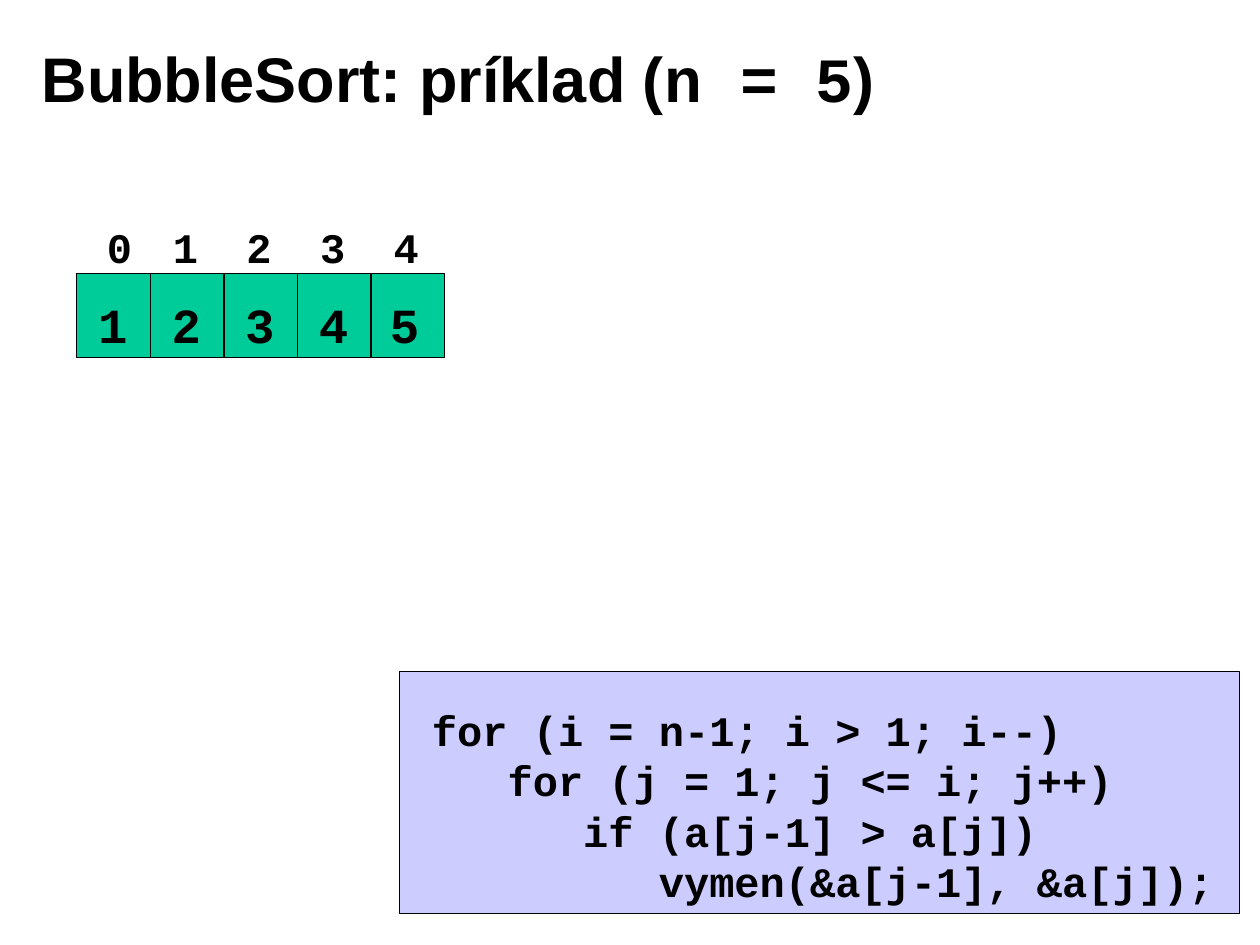
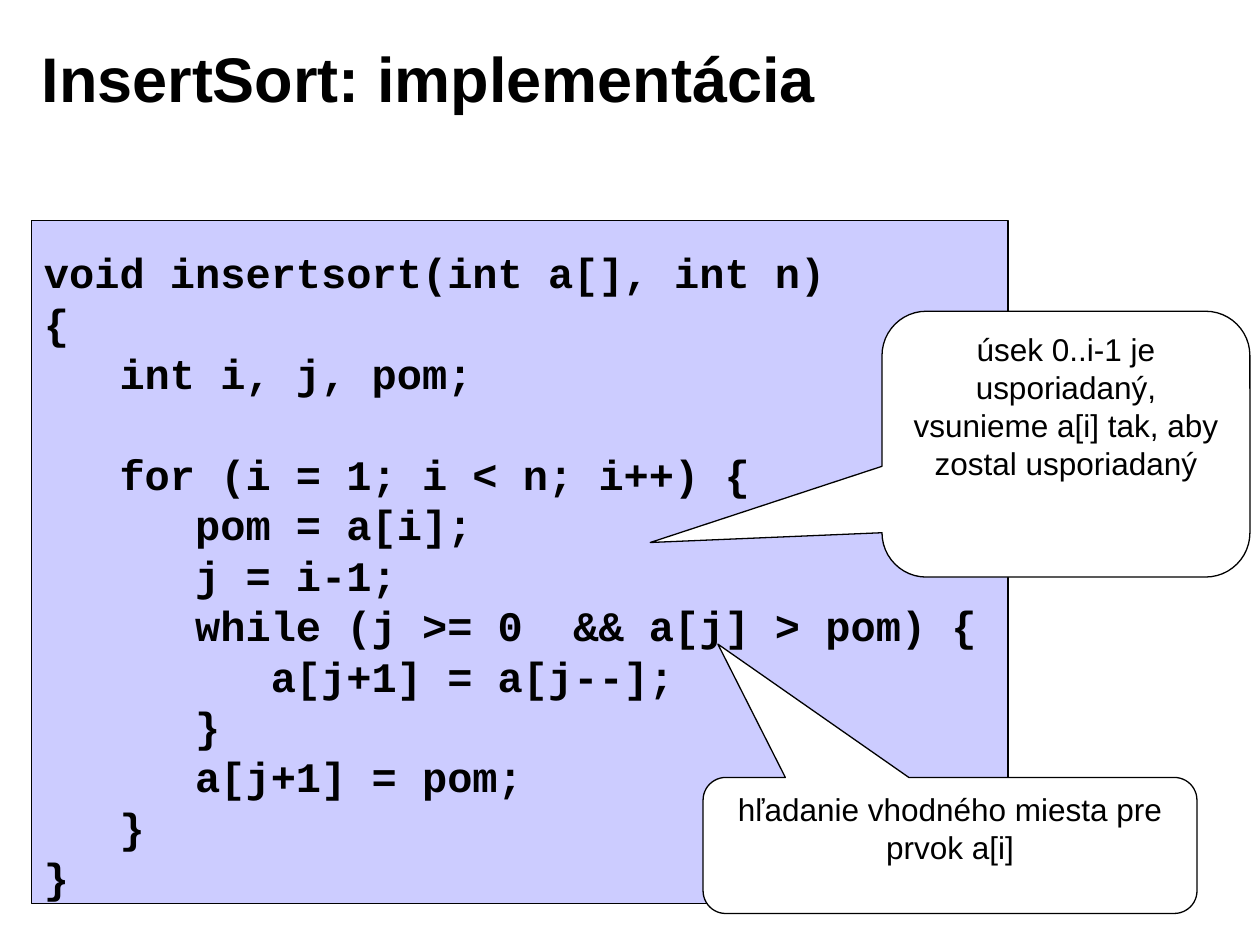
from dataclasses import dataclass

from pptx import Presentation
from pptx.dml.color import RGBColor
from pptx.enum.shapes import MSO_SHAPE as SHAPE
from pptx.enum.text import MSO_ANCHOR as ANCHOR, MSO_AUTO_SIZE as AUTO, PP_ALIGN as ALIGN
from pptx.util import Inches, Pt


@dataclass(frozen=True)
class Theme:
    ink: RGBColor = RGBColor(0x00, 0x00, 0x00)
    paper: RGBColor = RGBColor(0xFF, 0xFF, 0xFF)
    cell: RGBColor = RGBColor(0x00, 0xCC, 0x99)
    panel: RGBColor = RGBColor(0xCC, 0xCC, 0xFF)
    sans: str = "Arial"
    mono: str = "Courier New"
    title_size: int = 36
    value_size: int = 28
    code_size: int = 24
    note_size: int = 18
    leading: float = 1.2
    line: float = 0.75


THEME = Theme()

BUBBLE_CODE = """\
for (i = n-1; i > 1; i--)
   for (j = 1; j <= i; j++)
      if (a[j-1] > a[j])
         vymen(&a[j-1], &a[j]);"""

INSERT_CODE = """\
void insertsort(int a[], int n)
{
   int i, j, pom;

   for (i = 1; i < n; i++) {
      pom = a[i];
      j = i-1;
      while (j >= 0  && a[j] > pom) {
         a[j+1] = a[j--];
      }
      a[j+1] = pom;
   }
}"""


def inches(box):
    return [Inches(v) for v in box]


def style(p, size, font=THEME.sans, bold=False, align=ALIGN.LEFT):
    p.alignment = align
    p.line_spacing = Pt(size * THEME.leading)
    p.font.size, p.font.name, p.font.bold = Pt(size), font, bold
    p.font.color.rgb = THEME.ink


def add_box(slide, box, fill, kind=SHAPE.RECTANGLE, outlined=True):
    s = slide.shapes.add_shape(kind, *inches(box))
    s.shadow.inherit = False
    s.fill.solid()
    s.fill.fore_color.rgb = fill
    if outlined:
        s.line.color.rgb = THEME.ink
        s.line.width = Pt(THEME.line)
    else:
        s.line.fill.background()
    return s


def write_mono(s, text, size, align=ALIGN.LEFT):
    """Fill a shape with bold monospaced lines, one paragraph each."""
    tf = s.text_frame
    tf.word_wrap = True
    tf.vertical_anchor = ANCHOR.TOP
    tf.margin_top, tf.margin_right = Inches(0.09), Inches(0.05)
    if align == ALIGN.CENTER:
        tf.margin_left = tf.margin_right
    for i, line in enumerate(text.split("\n")):
        p = tf.add_paragraph() if i else tf.paragraphs[0]
        p.text = line
        style(p, size, THEME.mono, True, align)


# Slide with its title; each part is (text, font)
def add_titled_slide(prs, *parts):
    slide = prs.slides.add_slide(prs.slide_layouts[5])
    title = slide.shapes.title
    title.left, title.top, title.width, title.height = inches((0.23, 0.15, 8.03, 0.93))
    tf = title.text_frame
    tf.auto_size = AUTO.NONE
    tf.vertical_anchor = ANCHOR.MIDDLE
    p = tf.paragraphs[0]
    style(p, THEME.title_size, bold=True)
    for text, font in parts:
        r = p.add_run()
        r.text, r.font.name = text, font
    return slide


# Row of array cells with indices above
def add_array(slide, box, values):
    left, top, width, height = box
    step = width / len(values)
    last = len(values) - 1
    for i in range(len(values)):
        add_box(slide, (left + i * step, top, step, height), THEME.cell)
    for i, value in enumerate(values):
        x = left + i * step
        # The outer labels sit slightly inwards
        value_x = x + (0.05 if i == last else 0.07)
        index_x = x + (0.14 if i == 0 else 0.08)
        label = add_box(slide, (value_x, top + 0.08, 0.43, 0.57), THEME.cell, outlined=False)
        write_mono(label, str(value), THEME.value_size, ALIGN.CENTER)
        index = slide.shapes.add_textbox(*inches((index_x, top - 0.5, 0.4, 0.5)))
        write_mono(index, str(i), THEME.code_size)


# Code listing on a tinted panel; inset is (x, y)
def add_code(slide, box, code, inset):
    add_box(slide, box, THEME.panel)
    left, top, width, height = box
    dx, dy = inset
    text_box = (left + dx, top + dy, width - dx, height - dy)
    write_mono(slide.shapes.add_textbox(*inches(text_box)), code, THEME.code_size)


# Speech bubble; tip is the pointer offset from the centre in box units
def add_callout(slide, box, tip, text):
    s = add_box(slide, box, THEME.paper, SHAPE.ROUNDED_RECTANGULAR_CALLOUT)
    s.adjustments[0], s.adjustments[1] = tip
    tf = s.text_frame
    tf.word_wrap = True
    tf.vertical_anchor = ANCHOR.TOP
    p = tf.paragraphs[0]
    p.text = text
    style(p, THEME.note_size, align=ALIGN.CENTER)


def bubble_sort_slide(prs):
    slide = add_titled_slide(prs, ("BubbleSort: príklad (", THEME.sans),
                             ("n = 5", THEME.mono), (")", THEME.sans))
    add_array(slide, (0.61, 2.17, 2.92, 0.67), [1, 2, 3, 4, 5])
    add_code(slide, (3.17, 5.33, 6.67, 1.92), BUBBLE_CODE, (0.16, 0.17))


def insert_sort_slide(prs):
    slide = add_titled_slide(prs, ("InsertSort: implementácia", THEME.sans))
    add_code(slide, (0.25, 1.75, 7.75, 5.42), INSERT_CODE, (0, 0.12))
    add_callout(slide, (7, 2.47, 2.92, 2.11), (-1.13, 0.37),
                "úsek 0..i-1 je usporiadaný, vsunieme a[i] tak, aby zostal usporiadaný")
    add_callout(slide, (5.58, 6.17, 3.92, 1.08), (-0.47, -1.48),
                "hľadanie vhodného miesta pre prvok a[i]")


def main():
    prs = Presentation()
    prs.slide_width, prs.slide_height = Inches(10), Inches(7.5)
    bubble_sort_slide(prs)
    insert_sort_slide(prs)
    prs.save("out.pptx")


if __name__ == "__main__":
    main()
